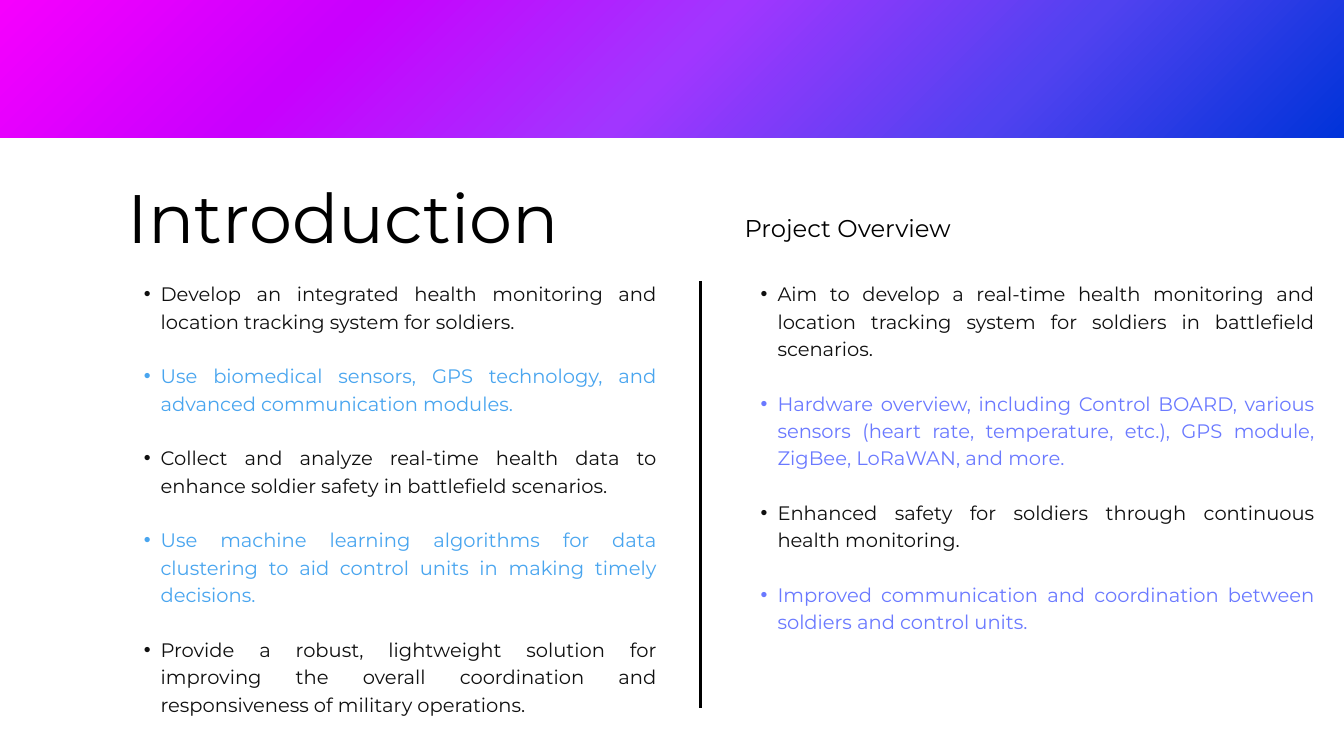
from lxml import etree
from pptx import Presentation
from pptx.dml.color import RGBColor
from pptx.enum.shapes import MSO_CONNECTOR, MSO_SHAPE
from pptx.enum.text import MSO_ANCHOR, MSO_AUTO_SIZE, PP_ALIGN
from pptx.oxml.ns import qn
from pptx.util import Inches, Pt

LEFT, JUSTIFY = PP_ALIGN.LEFT, PP_ALIGN.JUSTIFY
TOP = MSO_ANCHOR.TOP
NO_AUTOFIT = MSO_AUTO_SIZE.NONE
RECTANGLE = MSO_SHAPE.RECTANGLE
STRAIGHT = MSO_CONNECTOR.STRAIGHT

FONT = "Montserrat"
COLORS = {"black": "000000", "text": "101010", "sky": "49A5EF", "violet": "6A79FF"}
BANNER_STOPS = ["F600FE", "C900FE", "A136FF", "5142F0", "0033D9"]

TITLE = "Introduction"
OVERVIEW_HEADING = "Project Overview"
GOALS = [
    "Develop an integrated health monitoring and location tracking system for soldiers.",
    "Use biomedical sensors, GPS technology, and advanced communication modules.",
    "Collect and analyze real-time health data to enhance soldier safety in battlefield scenarios.",
    "Use machine learning algorithms for data clustering to aid control units in making timely decisions.",
    "Provide a robust, lightweight solution for improving the overall coordination and responsiveness of military operations.",
]
OVERVIEW = [
    "Aim to develop a real-time health monitoring and location tracking system for soldiers in battlefield scenarios.",
    "Hardware overview, including Control BOARD, various sensors (heart rate, temperature, etc.), GPS module, ZigBee, LoRaWAN, and more.",
    "Enhanced safety for soldiers through continuous health monitoring.",
    "Improved communication and coordination between soldiers and control units.",
]

SLIDE_W, SLIDE_H = 20, 11.25
LEFT_X, RIGHT_X = 1.9, 11.08
LIST_Y = 4.14
LIST_SIZE, LIST_LINE = 20.9, 29.3


def place(box, left, top, width, height):
    box.left, box.top = Inches(left), Inches(top)
    box.width, box.height = Inches(width), Inches(height)
    frame = box.text_frame
    frame.margin_left = frame.margin_right = frame.margin_top = frame.margin_bottom = 0
    frame.word_wrap = True
    frame.auto_size = NO_AUTOFIT
    frame.vertical_anchor = TOP
    return frame


def style(paragraph, size, line, color, align):
    paragraph.alignment = align
    paragraph.line_spacing = Pt(line)
    for run in paragraph.runs:
        run.font.name = FONT
        run.font.size = Pt(size)
        run.font.bold = False
        run.font.color.rgb = RGBColor.from_string(COLORS[color])


def write_heading(box, text, area, size, line):
    frame = place(box, *area)
    frame.text = text
    paragraph = frame.paragraphs[0]
    paragraph.space_before = Pt(0)
    style(paragraph, size, line, "black", LEFT)


def write_list(box, items, area, accent):
    frame = place(box, *area)
    frame.text = "\n".join(items)
    for i, paragraph in enumerate(frame.paragraphs):
        properties = paragraph._p.get_or_add_pPr()
        properties.set("marL", str(Inches(0.49)))
        properties.set("indent", str(Inches(-0.25)))
        etree.SubElement(properties, qn("a:buFont"), typeface="Arial")
        etree.SubElement(properties, qn("a:buChar"), char="•")
        paragraph.space_before = Pt(LIST_LINE if i else 0)
        style(paragraph, LIST_SIZE, LIST_LINE, accent if i % 2 else "text", JUSTIFY)


def add_banner(slide):
    banner = slide.shapes.add_shape(RECTANGLE, 0, 0, Inches(SLIDE_W), Inches(2.05))
    banner.shadow.inherit = False
    banner.line.fill.background()
    banner.fill.gradient()
    gradient = banner._element.spPr.find(qn("a:gradFill"))
    for child in list(gradient):
        gradient.remove(child)
    stops = etree.SubElement(gradient, qn("a:gsLst"))
    for i, color in enumerate(BANNER_STOPS):
        position = i * 100000 // (len(BANNER_STOPS) - 1)
        stop = etree.SubElement(stops, qn("a:gs"), pos=str(position))
        etree.SubElement(stop, qn("a:srgbClr"), val=color)
    circle = etree.SubElement(gradient, qn("a:path"), path="circle")
    etree.SubElement(circle, qn("a:fillToRect"), l="0", t="0", r="100000", b="100000")


def add_divider(slide):
    x = Inches(10.42)
    divider = slide.shapes.add_connector(STRAIGHT, x, Inches(4.18), x, Inches(10.54))
    divider.line.color.rgb = RGBColor.from_string(COLORS["black"])
    divider.line.width = Pt(3)
    etree.SubElement(divider._element.spPr, qn("a:effectLst"))


def main():
    deck = Presentation()
    deck.slide_width, deck.slide_height = Inches(SLIDE_W), Inches(SLIDE_H)
    slide = deck.slides.add_slide(deck.slide_layouts.get_by_name("Comparison"))
    parts = {p.placeholder_format.idx: p for p in slide.placeholders}

    write_heading(parts[0], TITLE, (LEFT_X, 2.4, 9.18, 1.36), 73.4, 102.8)
    write_heading(parts[3], OVERVIEW_HEADING, (RIGHT_X, 3.1, 4.93, 0.48), 26, 36.4)
    write_list(parts[2], GOALS, (LEFT_X, LIST_Y, 7.87, 6.89), "sky")
    write_list(parts[4], OVERVIEW, (RIGHT_X, LIST_Y, 8.48, 6.48), "violet")
    unused = parts[1]._element
    unused.getparent().remove(unused)

    add_banner(slide)
    add_divider(slide)
    deck.save("out.pptx")


if __name__ == "__main__":
    main()
